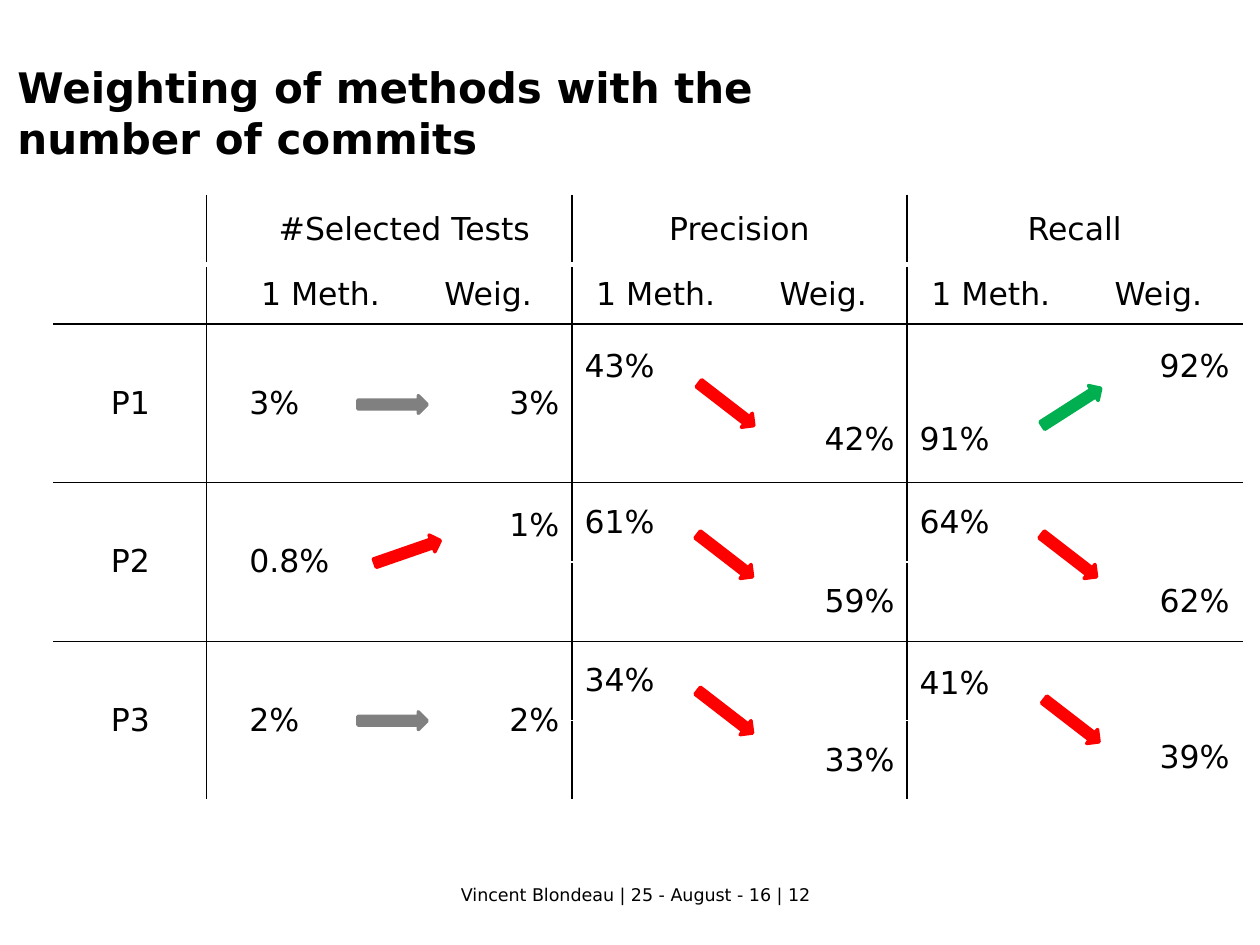
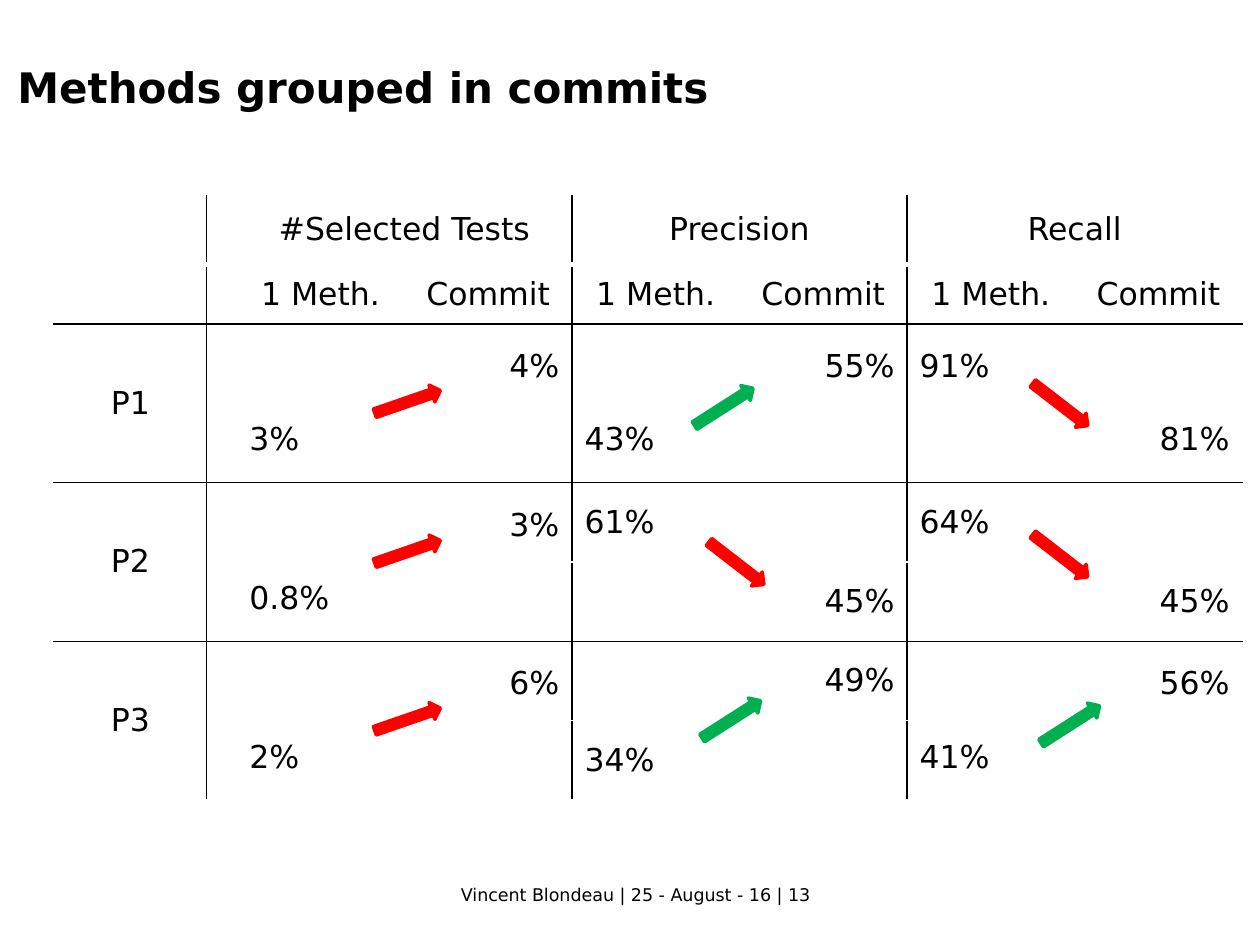
from pptx import Presentation
from pptx.dml.color import RGBColor
from pptx.enum.shapes import MSO_SHAPE as Shape
from pptx.enum.text import MSO_ANCHOR as Anchor, PP_ALIGN as Align
from pptx.oxml.ns import qn
from pptx.util import Inches, Pt
from lxml.etree import SubElement

BLACK, WHITE, RED, GREEN, GRAY = "000000", "FFFFFF", "FF0000", "00B050", "808080"
FONT = "DejaVu Sans"
FOOTER = "Vincent Blondeau | 25 - August - 16 | {}"
GROUPS = ["#Selected Tests", "Precision", "Recall"]
BASE = "1 Meth."

TRENDS = {
    "flat": ("mid", "mid", 0, GRAY),
    "lift": ("mid", "top", 340.9, RED),
    "rise": ("low", "top", 340.9, RED),
    "gain": ("low", "top", 327.4, GREEN),
    "drop": ("top", "low", 37.7, RED),
}

SLIDES = [
    {"title": "Weighting of methods with the\vnumber of commits", "page": 12, "other": "Weig.",
     "rows": {
         "P1": [("3%", "3%", "flat", 2.84, 3.14), ("43%", "42%", "drop", 5.49, 3.14),
                ("91%", "92%", "gain", 8.23, 3.16)],
         "P2": [("0.8%", "1%", "lift", 2.96, 4.31), ("61%", "59%", "drop", 5.48, 4.34),
                ("64%", "62%", "drop", 8.21, 4.34)],
         "P3": [("2%", "2%", "flat", 2.84, 5.65), ("34%", "33%", "drop", 5.48, 5.58),
                ("41%", "39%", "drop", 8.23, 5.65)]}},
    {"title": "Methods grouped in commits", "page": 13, "other": "Commit",
     "rows": {
         "P1": [("3%", "4%", "rise", 2.96, 3.12), ("43%", "55%", "gain", 5.47, 3.16),
                ("91%", "81%", "drop", 8.14, 3.14)],
         "P2": [("0.8%", "3%", "rise", 2.96, 4.31), ("61%", "45%", "drop", 5.57, 4.4),
                ("64%", "45%", "drop", 8.14, 4.34)],
         "P3": [("2%", "6%", "rise", 2.96, 5.64), ("34%", "49%", "gain", 5.53, 5.64),
                ("41%", "56%", "gain", 8.22, 5.68)]}},
]

COLS = [1.21, 0.23] + [1.33] * 6
ROWS = [0.55, 0.47, 1.26] + [0.63] * 4
SPANS = {"P1": (2, 2), "P2": (3, 4), "P3": (5, 6)}
SPLIT = {("P2", 1), ("P2", 2), ("P3", 1)}
RULE_X, RULE_Y = {1, 4, 6}, {2, 3, 5}
SHIFT = 0.63


def color(code):
    return RGBColor.from_string(code)


def write(frame, text, size=18, bold=False, align=Align.LEFT):
    frame.text = text
    para = frame.paragraphs[0]
    para.alignment = align
    look = {"size": Pt(size), "bold": bold, "name": FONT}
    for run in para.runs:
        for key, val in look.items():
            setattr(run.font, key, val)
        run.font.color.rgb = color(BLACK)


def label(slide, text, box, size, bold=False, wrap=True, top=0.05):
    frame = slide.shapes.add_textbox(*map(Inches, box)).text_frame
    frame.word_wrap = wrap
    frame.margin_top = Inches(top)
    write(frame, text, size, bold)


def fill(cell, text, align=Align.CENTER, level="mid"):
    write(cell.text_frame, text, align=align)
    if level == "low":
        cell.margin_top = Inches(SHIFT)
    if level == "top":
        cell.margin_bottom = Inches(SHIFT)


def border(cell, row, col):
    high = cell.span_height if cell.is_merge_origin else 1
    wide = cell.span_width if cell.is_merge_origin else 1
    edges = {"L": col in RULE_X, "R": col + wide in RULE_X,
             "T": row in RULE_Y, "B": row + high in RULE_Y}
    props = cell._tc.get_or_add_tcPr()
    for side, dark in edges.items():
        thick = 3 if (row, side) == (0, "B") else 1
        line = SubElement(props, qn(f"a:ln{side}"), w=str(Pt(thick)))
        solid = SubElement(line, qn("a:solidFill"))
        SubElement(solid, qn("a:srgbClr"), val=BLACK if dark else WHITE)


def arrow(slide, x, y, angle, tint):
    shape = slide.shapes.add_shape(Shape.RIGHT_ARROW, *map(Inches, (x, y, 0.55, 0.14)))
    shape.rotation = angle
    shape.shadow.inherit = False
    shape.fill.solid()
    shape.fill.fore_color.rgb = color(tint)
    shape.line.color.rgb = color(tint)
    shape.line.width = Pt(2)


def pair(table, name, group, item):
    first, last = SPANS[name]
    levels = TRENDS[item[2]][:2]
    for side, align in enumerate((Align.LEFT, Align.RIGHT)):
        col, level = 2 + 2 * group + side, levels[side]
        if (name, group) in SPLIT:
            fill(table.cell(first if level == "top" else last, col), item[side], align)
        else:
            cell = table.cell(first, col)
            if last > first:
                cell.merge(table.cell(last, col))
            fill(cell, item[side], align, level)


def grid(slide, data):
    box = map(Inches, (0.43, 1.55, sum(COLS), sum(ROWS)))
    table = slide.shapes.add_table(len(ROWS), len(COLS), *box).table
    table.first_row = table.horz_banding = False
    for col, width in zip(table.columns, COLS):
        col.width = Inches(width)
    for row, height in zip(table.rows, ROWS):
        row.height = Inches(height)
    for num, text in enumerate(GROUPS):
        col = 2 + 2 * num
        table.cell(0, col).merge(table.cell(0, col + 1))
        fill(table.cell(0, col), text)
        fill(table.cell(1, col), BASE)
        fill(table.cell(1, col + 1), data["other"])
    for name, items in data["rows"].items():
        first, last = SPANS[name]
        if last > first:
            for col in (0, 1):
                table.cell(first, col).merge(table.cell(last, col))
        fill(table.cell(first, 0), name)
        for group, item in enumerate(items):
            pair(table, name, group, item)
    for row in range(len(ROWS)):
        for col in range(len(COLS)):
            cell = table.cell(row, col)
            cell.vertical_anchor = Anchor.MIDDLE
            border(cell, row, col)
            cell.fill.background()


def main():
    deck = Presentation()
    deck.slide_width, deck.slide_height = Inches(10), Inches(7.5)
    for data in SLIDES:
        slide = deck.slides.add_slide(deck.slide_layouts[6])
        label(slide, FOOTER.format(data["page"]), (3.56, 6.97, 3.27, 0.27), 10, wrap=False)
        grid(slide, data)
        label(slide, data["title"], (0.04, 0.41, 9.95, 0.83), 24, bold=True, top=0.08)
        for items in data["rows"].values():
            for *_, trend, x, y in items:
                arrow(slide, x, y, *TRENDS[trend][2:])
    deck.save("out.pptx")


if __name__ == "__main__":
    main()
